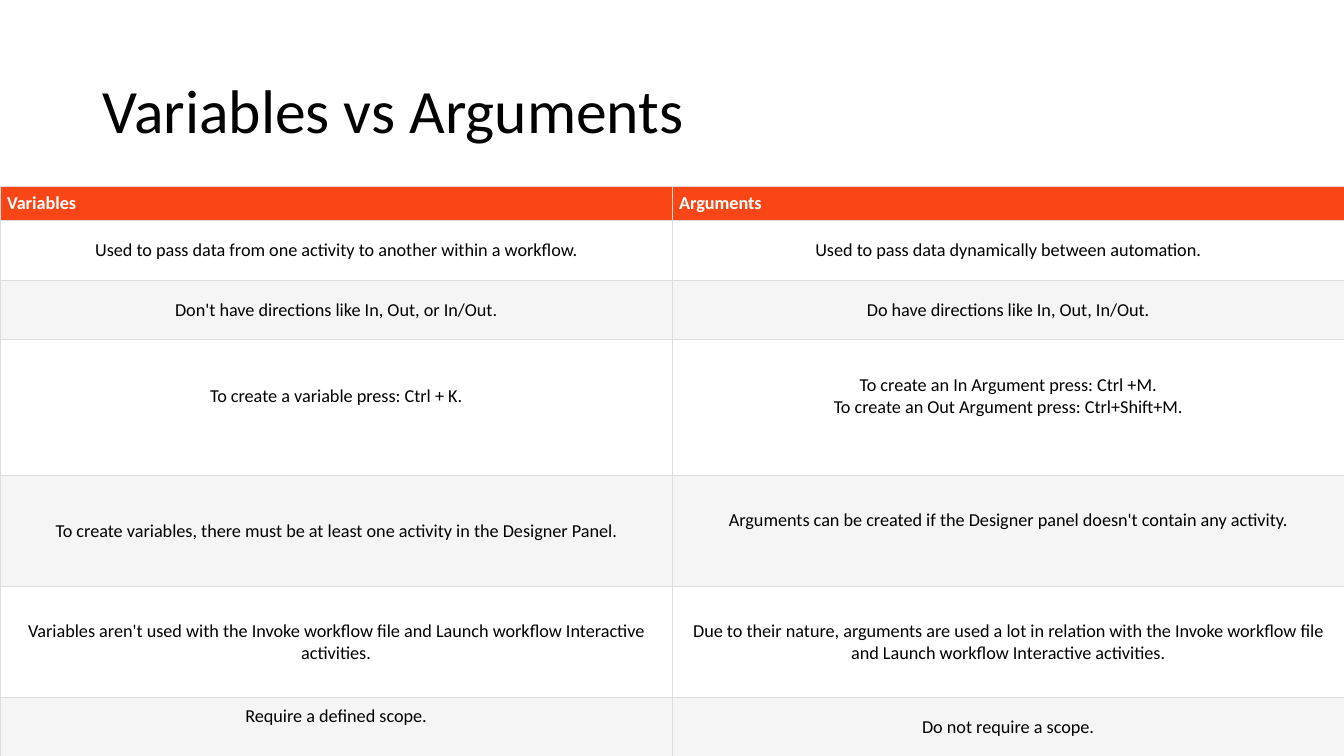
from dataclasses import dataclass

from lxml import etree
from pptx import Presentation
from pptx.dml.color import RGBColor
from pptx.enum.text import MSO_ANCHOR, PP_ALIGN
from pptx.oxml.ns import qn
from pptx.util import Inches, Pt

MIDDLE = MSO_ANCHOR.MIDDLE
LEFT, CENTER = PP_ALIGN.LEFT, PP_ALIGN.CENTER


@dataclass(frozen=True)
class Theme:
    font: str = "Calibri"
    title_size: float = 44
    cell_size: float = 13
    text: str = "000000"
    header_text: str = "FFFFFF"
    header_fill: str = "FA4616"
    fills: tuple = ("FFFFFF", "F5F5F5")
    border: str = "DDDDDD"
    border_width: float = 0.75


THEME = Theme()
SLIDE_W, SLIDE_H = 13.33, 7.5
PAD_X, PAD_Y = 0.07, 0.04
LINE_H = 0.22  # height of one line of cell text

ROW_HEIGHTS = [0.34, 0.59, 0.59, 1.35, 1.1, 1.1, 0.59]
ROWS = [
    ("Variables", "Arguments"),
    ("Used to pass data from one activity to another within a workflow.",
     "Used to pass data dynamically between automation."),
    ("Don't have directions like In, Out, or In/Out.",
     "Do have directions like In, Out, In/Out."),
    ("To create a variable press: Ctrl + K.",
     "To create an In Argument press: Ctrl +M.\n"
     "To create an Out Argument press: Ctrl+Shift+M."),
    ("To create variables, there must be at least one activity in the Designer Panel.",
     "Arguments can be created if the Designer panel doesn't contain any activity."),
    ("Variables aren't used with the Invoke workflow file and Launch workflow "
     "Interactive activities.",
     "Due to their nature, arguments are used a lot in relation with the Invoke "
     "workflow file and Launch workflow Interactive activities."),
    ("Require a defined scope.", "Do not require a scope."),
]
# Cells (row, column) whose text sits half a line above the middle
RAISED = {(3, 0), (3, 1), (4, 1), (6, 0)}


def write(tf, text, size, color, bold=False, align=LEFT, spacing=None):
    """Fill a text frame; a newline in the text becomes a line break."""
    tf.word_wrap = True
    p = tf.paragraphs[0]
    p.alignment = align
    if spacing:
        p.line_spacing = spacing
    for i, line in enumerate(text.split("\n")):
        if i:
            p.add_line_break()
        r = p.add_run()
        r.text = line
        r.font.name, r.font.size, r.font.bold = THEME.font, Pt(size), bold
        r.font.color.rgb = RGBColor.from_string(color)


def add_borders(cell):
    tcPr = cell._tc.get_or_add_tcPr()
    for side in ("a:lnL", "a:lnR", "a:lnT", "a:lnB"):
        ln = etree.SubElement(tcPr, qn(side), w=str(Pt(THEME.border_width)))
        fill = etree.SubElement(ln, qn("a:solidFill"))
        etree.SubElement(fill, qn("a:srgbClr"), val=THEME.border)


def add_title(s, x, y, w, h):
    tf = s.shapes.add_textbox(Inches(x), Inches(y), Inches(w), Inches(h)).text_frame
    tf.vertical_anchor = MIDDLE
    write(tf, "Variables vs Arguments", THEME.title_size, THEME.text, spacing=0.9)


def add_comparison(s, x, y, w, h):
    cols = len(ROWS[0])
    table = s.shapes.add_table(len(ROWS), cols, Inches(x), Inches(y),
                               Inches(w), Inches(h)).table
    table.first_row = table.horz_banding = False
    for col in table.columns:
        col.width = Inches(w / cols)
    for i, (row, height) in enumerate(zip(ROWS, ROW_HEIGHTS)):
        table.rows[i].height = Inches(height)
        header = i == 0
        fill = THEME.header_fill if header else THEME.fills[(i - 1) % 2]
        for j, text in enumerate(row):
            cell = table.cell(i, j)
            cell.margin_left = cell.margin_right = Inches(PAD_X)
            cell.margin_top = Inches(PAD_Y)
            cell.margin_bottom = Inches(PAD_Y + LINE_H * ((i, j) in RAISED))
            cell.vertical_anchor = MIDDLE
            add_borders(cell)  # borders come before the fill in the cell XML
            cell.fill.solid()
            cell.fill.fore_color.rgb = RGBColor.from_string(fill)
            write(cell.text_frame, text, THEME.cell_size,
                  THEME.header_text if header else THEME.text,
                  bold=header, align=LEFT if header else CENTER)


def main():
    prs = Presentation()
    prs.slide_width, prs.slide_height = Inches(SLIDE_W), Inches(SLIDE_H)
    s = prs.slides.add_slide(prs.slide_layouts[6])
    # Title above, full-width table down to the bottom edge
    add_title(s, 0.92, 0.4, 11.5, 1.45)
    add_comparison(s, 0, 1.85, SLIDE_W, SLIDE_H - 1.85)
    prs.save("out.pptx")


if __name__ == "__main__":
    main()
